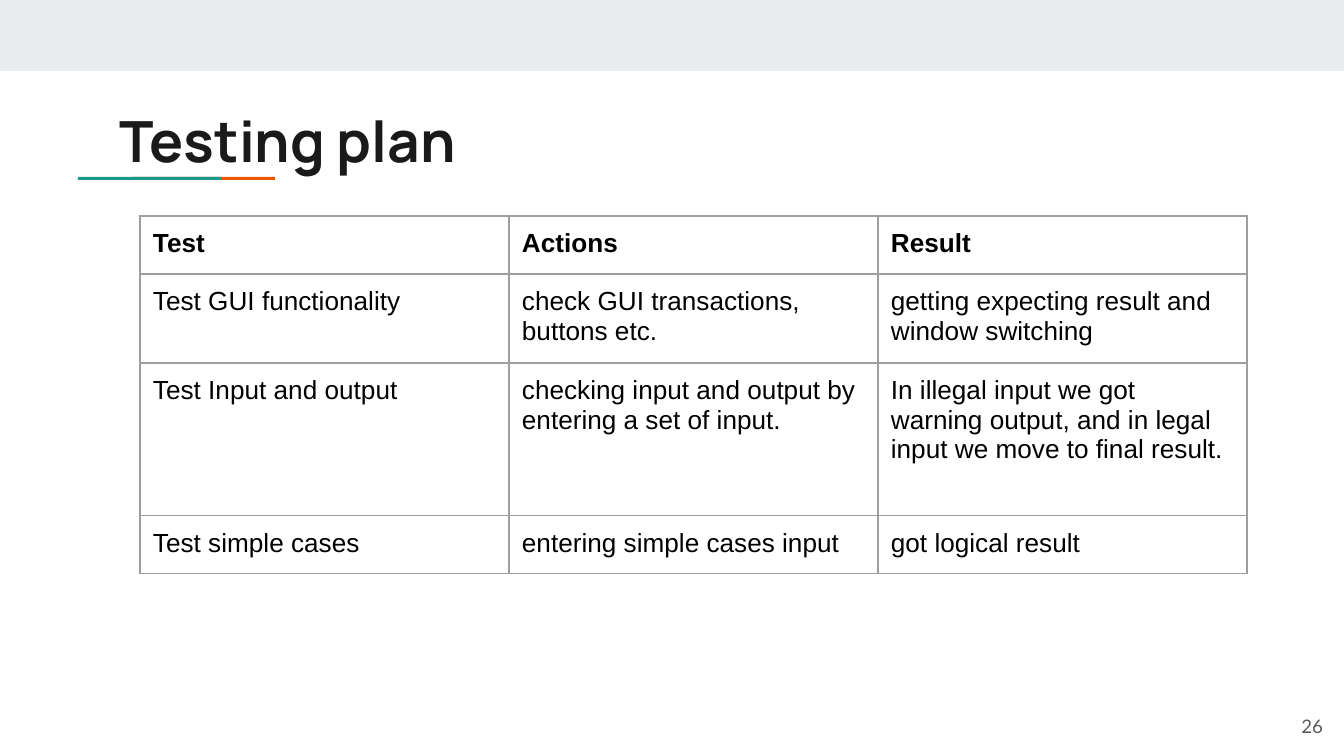
from dataclasses import dataclass

from lxml.etree import SubElement
from pptx import Presentation
from pptx.dml.color import RGBColor
from pptx.enum.shapes import MSO_SHAPE
from pptx.enum.text import MSO_ANCHOR as Anchor, PP_ALIGN as Align
from pptx.oxml.ns import qn
from pptx.slide import Slide
from pptx.table import _Cell as Cell
from pptx.util import Emu, Pt

EMU_PER_PX = 9144000 / 1344


@dataclass(frozen=True)
class Theme:
    band: str = "E9EDEE"
    orange: str = "EB5600"
    teal: str = "1A9988"
    title: str = "1A1A1A"
    body: str = "000000"
    number: str = "595959"
    border: str = "9E9E9E"
    title_size: float = 30.4
    body_size: float = 14
    number_size: float = 10
    border_width: float = 0.75


@dataclass(frozen=True)
class Box:
    left: int
    top: int
    width: int
    height: int


@dataclass(frozen=True)
class Bar:
    box: Box
    color: str


@dataclass(frozen=True)
class Label:
    box: Box
    text: str
    font: str
    size: float
    color: str
    bold: bool = False
    align: Align = Align.LEFT
    anchor: Anchor = Anchor.TOP


THEME = Theme()
INSET = 13

BARS = [
    Bar(Box(0, 0, 1344, 71), THEME.band),
    Bar(Box(132, 177, 143, 3), THEME.orange),
    Bar(Box(78, 177, 143, 3), THEME.teal),
]
LABELS = [
    Label(Box(107, 93, 1130, 79), "Testing plan", "Manrope",
          THEME.title_size, THEME.title, bold=True),
    Label(Box(1255, 697, 81, 58), "26", "Lato", THEME.number_size,
          THEME.number, align=Align.RIGHT, anchor=Anchor.MIDDLE),
]
TABLE_LEFT, TABLE_TOP, COLUMN_WIDTH = 140, 216, 369
ROW_HEIGHTS = [58, 89, 153, 58]
TEST_ROWS = [
    ("Test", "Actions", "Result"),
    ("Test GUI functionality", "check GUI transactions, buttons etc.",
     "getting expecting result and window switching"),
    ("Test Input and output",
     "checking input and output by entering a set of input.",
     "In illegal input we got warning output, and in legal input "
     "we move to final result."),
    ("Test simple cases", "entering simple cases input", "got logical result"),
]


def px(n: int) -> Emu:
    return Emu(round(n * EMU_PER_PX))


def place(box: Box) -> tuple[Emu, ...]:
    return px(box.left), px(box.top), px(box.width), px(box.height)


def set_insets(target) -> None:
    """Give a cell or text frame the same margin on every side."""
    target.margin_left = target.margin_right = px(INSET)
    target.margin_top = target.margin_bottom = px(INSET)


def style_font(font, name: str, size: float, color: str, bold: bool) -> None:
    font.name, font.size, font.bold = name, Pt(size), bold
    font.color.rgb = RGBColor.from_string(color)


def draw_bar(s: Slide, bar: Bar) -> None:
    sp = s.shapes.add_shape(MSO_SHAPE.RECTANGLE, *place(bar.box))
    sp.shadow.inherit = False
    sp.fill.solid()
    sp.fill.fore_color.rgb = RGBColor.from_string(bar.color)
    sp.line.fill.background()


def draw_label(s: Slide, label: Label) -> None:
    tf = s.shapes.add_textbox(*place(label.box)).text_frame
    tf.word_wrap = True
    tf.vertical_anchor = label.anchor
    set_insets(tf)
    p = tf.paragraphs[0]
    p.text, p.alignment = label.text, label.align
    style_font(p.font, label.font, label.size, label.color, label.bold)


def add_borders(cell: Cell) -> None:
    """Outline a cell; the lines must come before its fill in the XML."""
    tc_pr = cell._tc.get_or_add_tcPr()
    for i, side in enumerate(("lnL", "lnR", "lnT", "lnB")):
        ln = SubElement(tc_pr, qn(f"a:{side}"), w=str(Pt(THEME.border_width)))
        fill = SubElement(ln, qn("a:solidFill"))
        SubElement(fill, qn("a:srgbClr"), val=THEME.border)
        tc_pr.insert(i, ln)


def draw_table(s: Slide) -> None:
    n_rows, n_cols = len(TEST_ROWS), len(TEST_ROWS[0])
    box = Box(TABLE_LEFT, TABLE_TOP, COLUMN_WIDTH * n_cols, sum(ROW_HEIGHTS))
    table = s.shapes.add_table(n_rows, n_cols, *place(box)).table
    table.first_row = table.horz_banding = False
    for column in table.columns:
        column.width = px(COLUMN_WIDTH)
    for i, (height, texts) in enumerate(zip(ROW_HEIGHTS, TEST_ROWS)):
        table.rows[i].height = px(height)
        for j, text in enumerate(texts):
            cell = table.cell(i, j)
            cell.fill.background()
            set_insets(cell)
            add_borders(cell)
            p = cell.text_frame.paragraphs[0]
            p.text = text
            style_font(p.font, "Arial", THEME.body_size, THEME.body, i == 0)


def main() -> None:
    prs = Presentation()
    prs.slide_width, prs.slide_height = px(1344), px(756)
    s = prs.slides.add_slide(prs.slide_layouts[6])
    for bar in BARS:
        draw_bar(s, bar)
    draw_table(s)
    for label in LABELS:
        draw_label(s, label)
    prs.save("out.pptx")


if __name__ == "__main__":
    main()
